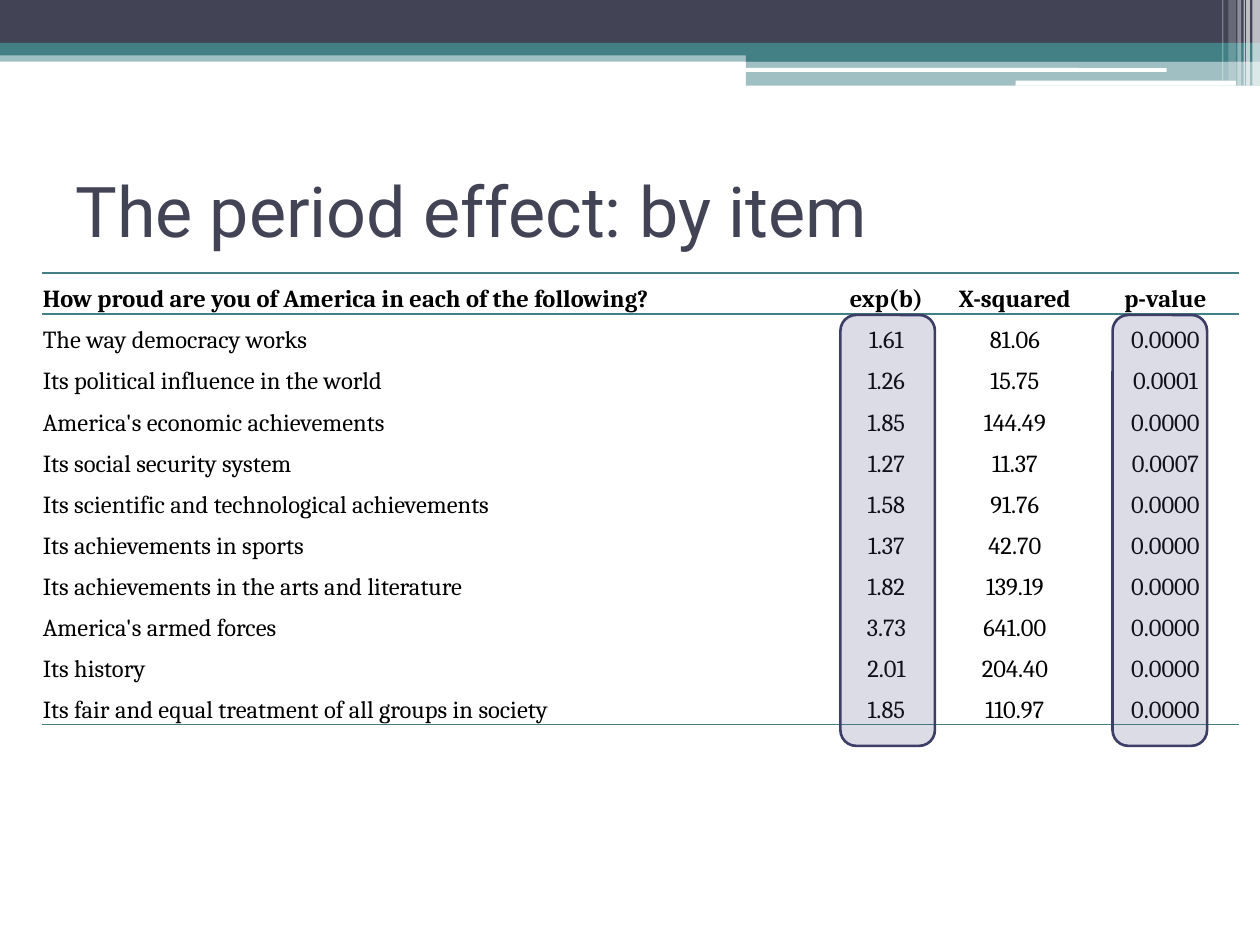
from typing import NamedTuple

from lxml.etree import SubElement
from pptx import Presentation
from pptx.dml.color import RGBColor
from pptx.enum.shapes import MSO_SHAPE as Shape
from pptx.enum.text import MSO_ANCHOR as Anchor, PP_ALIGN as Align
from pptx.oxml.ns import qn
from pptx.util import Inches, Pt

WIDTH, HEIGHT = Inches(10), Inches(7.5)
NAVY = RGBColor(0x42, 0x44, 0x56)
TEAL = RGBColor(0x43, 0x80, 0x86)
WHITE = RGBColor(0xFF, 0xFF, 0xFF)
BLACK = RGBColor(0x00, 0x00, 0x00)
VIOLET = RGBColor(0x53, 0x54, 0x8A)
DARK_VIOLET = RGBColor(0x3D, 0x3E, 0x66)
PLAIN_TABLE_STYLE = "{2D5ABB26-0587-4C30-8999-92F81FD0307C}"


class Area(NamedTuple):
    left: float
    top: float
    width: float
    height: float

    def lengths(self) -> tuple[int, int, int, int]:
        return (
            int(WIDTH * self.left / 100),
            int(HEIGHT * self.top / 100),
            int(WIDTH * self.width / 100),
            int(HEIGHT * self.height / 100),
        )


class Panel(NamedTuple):
    area: Area
    fill: RGBColor
    opacity: int = 100
    kind: Shape = Shape.RECTANGLE
    line: RGBColor | None = None


class Result(NamedTuple):
    item: str
    odds: str
    chi_squared: str
    p_value: str = "0.0000"


BANDS = [
    Panel(Area(0, 5.33, 100, 1.2), TEAL, 50),
    Panel(Area(0, 0, 100, 4.53), NAVY),
    Panel(Area(0, 4.53, 100, 1.33), TEAL),
    Panel(Area(59.2, 5.2, 40.8, 1.33), TEAL),
    Panel(Area(59.2, 6.4, 40.8, 2.67), TEAL, 50),
    Panel(Area(59.1, 7.2, 33.5, 0.4), WHITE, kind=Shape.ROUNDED_RECTANGLE),
    Panel(Area(80.6, 8.53, 17.5, 0.53), WHITE, kind=Shape.ROUNDED_RECTANGLE),
]
STRIPES = [
    Panel(Area(left, 0, width, height), WHITE, opacity)
    for left, width, height, opacity in [
        (99.4, 0.6, 9.07, 65),
        (98.9, 0.3, 9.07, 65),
        (98.7, 0.1, 9.07, 60),
        (98.2, 0.3, 9.07, 40),
        (97.5, 0.6, 8.53, 20),
        (97, 0.1, 8.53, 30),
    ]
]
HIGHLIGHTS = [
    Panel(Area(left, 33.33, 7.5, 45.6), VIOLET, 20, Shape.ROUNDED_RECTANGLE, DARK_VIOLET)
    for left in (66.7, 88.3)
]
TITLE_AREA = Area(5, 14.4, 90, 15.6)
TABLE_AREA = Area(3.3, 28.87, 95, 47.85)
COLUMN_SHARES = (63, 8.1, 12.3, 11.6)
RESULTS = [
    Result("How proud are you of America in each of the following?", "exp(b)", "X-squared", "p-value"),
    Result("The way democracy works", "1.61", "81.06"),
    Result("Its political influence in the world", "1.26", "15.75", "0.0001"),
    Result("America's economic achievements", "1.85", "144.49"),
    Result("Its social security system", "1.27", "11.37", "0.0007"),
    Result("Its scientific and technological achievements", "1.58", "91.76"),
    Result("Its achievements in sports", "1.37", "42.70"),
    Result("Its achievements in the arts and literature", "1.82", "139.19"),
    Result("America's armed forces", "3.73", "641.00"),
    Result("Its history", "2.01", "204.40"),
    Result("Its fair and equal treatment of all groups in society", "1.85", "110.97"),
]


def draw_panel(page, panel: Panel) -> None:
    shape = page.shapes.add_shape(panel.kind, *panel.area.lengths())
    shape.shadow.inherit = False
    shape.fill.solid()
    shape.fill.fore_color.rgb = panel.fill
    if panel.opacity < 100:
        color = shape.fill._xPr.find(qn("a:solidFill"))[0]
        SubElement(color, qn("a:alpha"), val=str(panel.opacity * 1000))
    if panel.line is None:
        shape.line.fill.background()
    else:
        shape.line.color.rgb = panel.line
        shape.line.width = Pt(1.5)


def style_text(para, font: str, size: int, color: RGBColor, bold: bool = False) -> None:
    for span in para.runs:
        span.font.name = font
        span.font.size = Pt(size)
        span.font.color.rgb = color
        span.font.bold = bold


def draw_title(page, text: str) -> None:
    box = page.shapes.add_textbox(*TITLE_AREA.lengths())
    frame = box.text_frame
    frame.word_wrap = True
    frame.vertical_anchor = Anchor.MIDDLE
    frame.text = text
    style_text(frame.paragraphs[0], "Roboto", 40, NAVY)


def add_border(cell, edge: str) -> None:
    line = SubElement(cell._tc.get_or_add_tcPr(), qn(f"a:{edge}"), w=str(Pt(1)))
    fill = SubElement(line, qn("a:solidFill"))
    SubElement(fill, qn("a:srgbClr"), val=str(TEAL))


def draw_cell(cell, text: str, row: int, column: int) -> None:
    cell.text = text
    cell.vertical_anchor = Anchor.BOTTOM
    cell.margin_left = cell.margin_right = cell.margin_top = Inches(0.01)
    cell.margin_bottom = 0
    para = cell.text_frame.paragraphs[0]
    para.alignment = Align.CENTER if column else Align.LEFT
    style_text(para, "Cambria", 14, BLACK, bold=row == 0)
    if row == 0:
        add_border(cell, "lnT")
    if row in (0, len(RESULTS) - 1):
        add_border(cell, "lnB")
    cell.fill.background()


def draw_table(page) -> None:
    frame = page.shapes.add_table(len(RESULTS), len(COLUMN_SHARES), *TABLE_AREA.lengths())
    table = frame.table
    table.first_row = table.horz_banding = False
    table._tbl.tblPr.find(qn("a:tableStyleId")).text = PLAIN_TABLE_STYLE
    for column, share in zip(table.columns, COLUMN_SHARES):
        column.width = int(WIDTH * share / 100)
    for row, result in enumerate(RESULTS):
        for column, text in enumerate(result):
            draw_cell(table.cell(row, column), text, row, column)


def main() -> None:
    deck = Presentation()
    deck.slide_width, deck.slide_height = WIDTH, HEIGHT
    page = deck.slides.add_slide(deck.slide_layouts[6])
    for panel in BANDS + STRIPES:
        draw_panel(page, panel)
    draw_table(page)
    draw_title(page, "The period effect: by item")
    for panel in HIGHLIGHTS:
        draw_panel(page, panel)
    deck.save("out.pptx")


if __name__ == "__main__":
    main()
